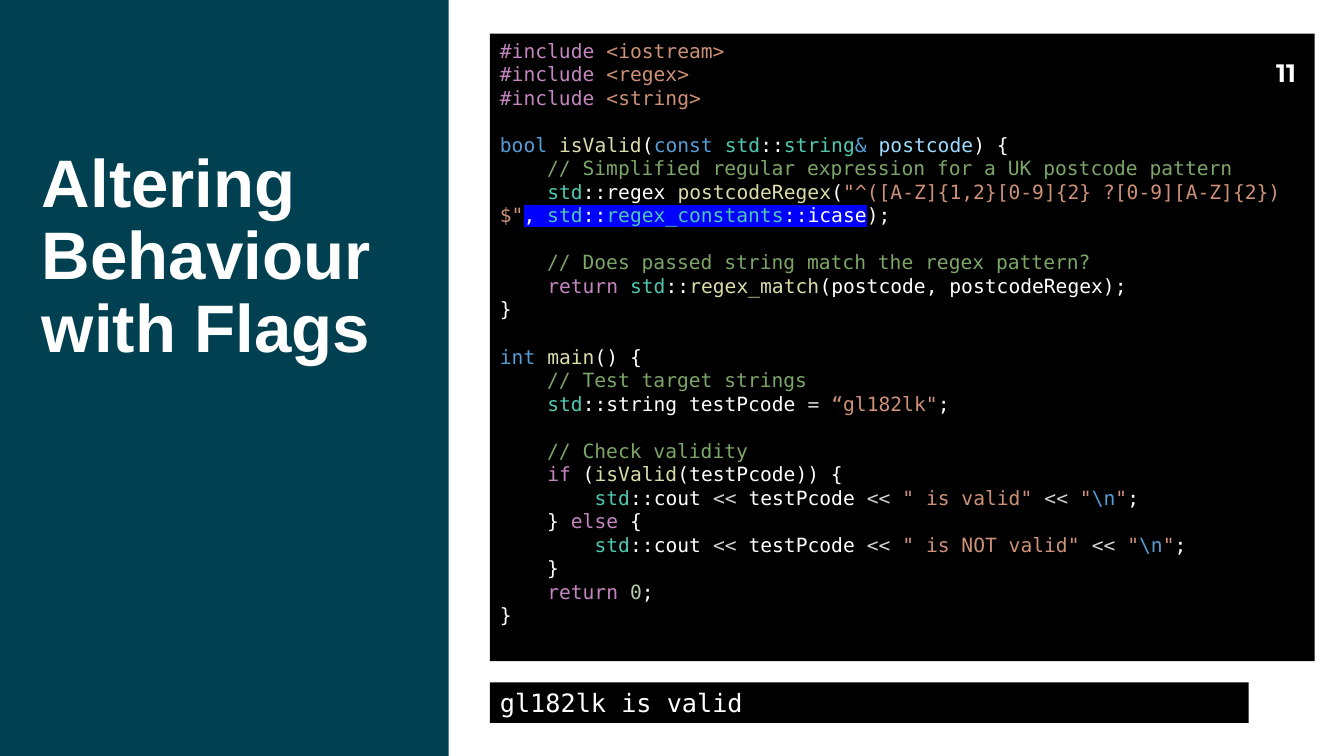
"""Build the slide on altering regex behaviour with flags."""
import lxml.etree
import pptx
import pptx.dml.color
import pptx.enum.text
import pptx.oxml.ns
import pptx.util

COLORS = {
    "panel": "004050", "black": "000000", "plain": "FFFFFF",
    "control": "C586C0", "text": "CE9178", "keyword": "569CD6",
    "function": "DCDCAA", "type": "4EC9B0", "variable": "9CDCFE",
    "comment": "7CA668", "operator": "D4D4D4", "number": "B5CEA8",
    "marker": "0000FF",
}
CODE_FONT = "DejaVu Sans Mono"
CODE_SIZE = 14
CODE_LINE = 16.8
COLUMNS = 96


def add_text(paragraph, text, size=CODE_SIZE, font=CODE_FONT, color="plain", bold=False, highlight=None):
    """Add a formatted run to a paragraph."""
    run = paragraph.add_run()
    run.text = text
    run.font.size = pptx.util.Pt(size)
    run.font.bold = bold
    run.font.color.rgb = pptx.dml.color.RGBColor.from_string(COLORS[color])
    if highlight:
        marker = lxml.etree.SubElement(run.font._element, pptx.oxml.ns.qn("a:highlight"))
        lxml.etree.SubElement(marker, pptx.oxml.ns.qn("a:srgbClr"), val=COLORS[highlight])
    run.font.name = font


def include(header):
    """Return the tokens of an include line."""
    return [("control", "#include "), ("text", f"<{header}>")]


def print_result(message):
    """Return the tokens of a line that prints the result."""
    return [
        ("plain", "        "), ("type", "std"), ("plain", "::cout "), ("operator", "<< "),
        ("plain", "testPcode "), ("operator", "<< "), ("text", f'"{message}" '),
        ("operator", "<< "), ("text", '"'), ("keyword", r"\n"), ("text", '"'), ("plain", ";"),
    ]


CODE_BLOCKS = [
    [include("iostream"), include("regex"), include("string")],
    [
        [("keyword", "bool "), ("function", "isValid"), ("plain", "("), ("keyword", "const "),
         ("type", "std"), ("plain", "::"), ("type", "string"), ("keyword", "& "),
         ("variable", "postcode"), ("plain", ") {")],
        [("comment", "    // Simplified regular expression for a UK postcode pattern")],
        [("plain", "    "), ("type", "std"), ("plain", "::regex "), ("function", "postcodeRegex"),
         ("plain", "("), ("text", '"^([A-Z]{1,2}[0-9]{2} ?[0-9][A-Z]{2})$"'),
         ("plain", ", ", "marker"), ("type", "std", "marker"), ("plain", "::", "marker"),
         ("type", "regex_constants", "marker"), ("plain", "::icase", "marker"), ("plain", ");")],
    ],
    [
        [("comment", "    // Does passed string match the regex pattern?")],
        [("plain", "    "), ("control", "return "), ("type", "std"), ("plain", "::"),
         ("function", "regex_match"), ("plain", "(postcode, postcodeRegex);")],
        [("plain", "}")],
    ],
    [
        [("keyword", "int "), ("function", "main"), ("plain", "() {")],
        [("comment", "    // Test target strings")],
        [("plain", "    "), ("type", "std"), ("plain", "::string testPcode "),
         ("operator", "= "), ("text", '“gl182lk"'), ("plain", ";")],
    ],
    [
        [("comment", "    // Check validity")],
        [("plain", "    "), ("control", "if"), ("plain", " ("), ("function", "isValid"),
         ("plain", "(testPcode)) {")],
        print_result(" is valid"),
        [("plain", "    } "), ("control", "else"), ("plain", " {")],
        print_result(" is NOT valid"),
        [("plain", "    }")],
        [("plain", "    "), ("control", "return "), ("number", "0"), ("plain", ";")],
        [("plain", "}")],
    ],
]


class SlideBuilder:
    """Hold the slide and its square grid, and add elements to it."""

    def __init__(self, presentation):
        """Add a blank slide and measure its grid cell."""
        self.slide = presentation.slides.add_slide(presentation.slide_layouts[6])
        self.cell = presentation.slide_width / COLUMNS

    def place(self, *cells):
        """Convert grid cells to lengths."""
        return [pptx.util.Emu(round(count * self.cell)) for count in cells]

    def panel(self, color, *cells):
        """Add a filled rectangle and return its text frame."""
        shape = self.slide.shapes.add_shape(
            pptx.enum.shapes.MSO_SHAPE.RECTANGLE, *self.place(*cells))
        shape.shadow.inherit = False
        shape.fill.solid()
        shape.fill.fore_color.rgb = pptx.dml.color.RGBColor.from_string(COLORS[color])
        shape.line.fill.background()
        return self.prepare(shape.text_frame)

    def label(self, text, *cells, inset=True, line_spacing=None, **text_format):
        """Add a text box with one paragraph."""
        frame = self.prepare(self.slide.shapes.add_textbox(*self.place(*cells)).text_frame)
        if not inset:
            frame.margin_left = frame.margin_right = frame.margin_top = frame.margin_bottom = 0
        paragraph = frame.paragraphs[0]
        paragraph.line_spacing = line_spacing
        add_text(paragraph, text, **text_format)

    def code(self, blocks, *cells):
        """Add a panel of highlighted code, with a gap between blocks."""
        frame = self.panel("black", *cells)
        paragraph = None
        for block in blocks:
            for number, line in enumerate(block):
                first = paragraph is None
                paragraph = frame.paragraphs[0] if first else frame.add_paragraph()
                paragraph.alignment = pptx.enum.text.PP_ALIGN.LEFT
                if number == 0 and not first:
                    paragraph.space_before = pptx.util.Pt(CODE_LINE)
                for color, text, *highlight in line:
                    add_text(paragraph, text, color=color, highlight=highlight[0] if highlight else None)

    def output(self, text, *cells):
        """Add a panel with the program's output."""
        paragraph = self.panel("black", *cells).paragraphs[0]
        paragraph.alignment = pptx.enum.text.PP_ALIGN.LEFT
        add_text(paragraph, text, size=18)

    def prepare(self, frame):
        """Wrap a text frame and anchor it at the top."""
        frame.word_wrap = True
        frame.vertical_anchor = pptx.enum.text.MSO_ANCHOR.TOP
        return frame


def main():
    """Build and save the presentation."""
    presentation = pptx.Presentation()
    presentation.slide_width = pptx.util.Inches(13.33)
    presentation.slide_height = pptx.util.Inches(7.5)
    builder = SlideBuilder(presentation)
    builder.panel("panel", 0, 0, 32.05, 54)
    builder.label("Altering Behaviour with Flags", 3, 10.65, 27.15, 21.7,
                  inset=False, line_spacing=0.9, size=48, font="Arial", bold=True)
    builder.code(CODE_BLOCKS, 35, 2.4, 58.9, 44.85)
    builder.output("gl182lk is valid", 35, 48.75, 54.2, 2.9)
    builder.label("11", 90.45, 3.75, 3.6, 2.9, size=18, font="Montserrat", bold=True)
    presentation.save("out.pptx")


if __name__ == "__main__":
    main()
